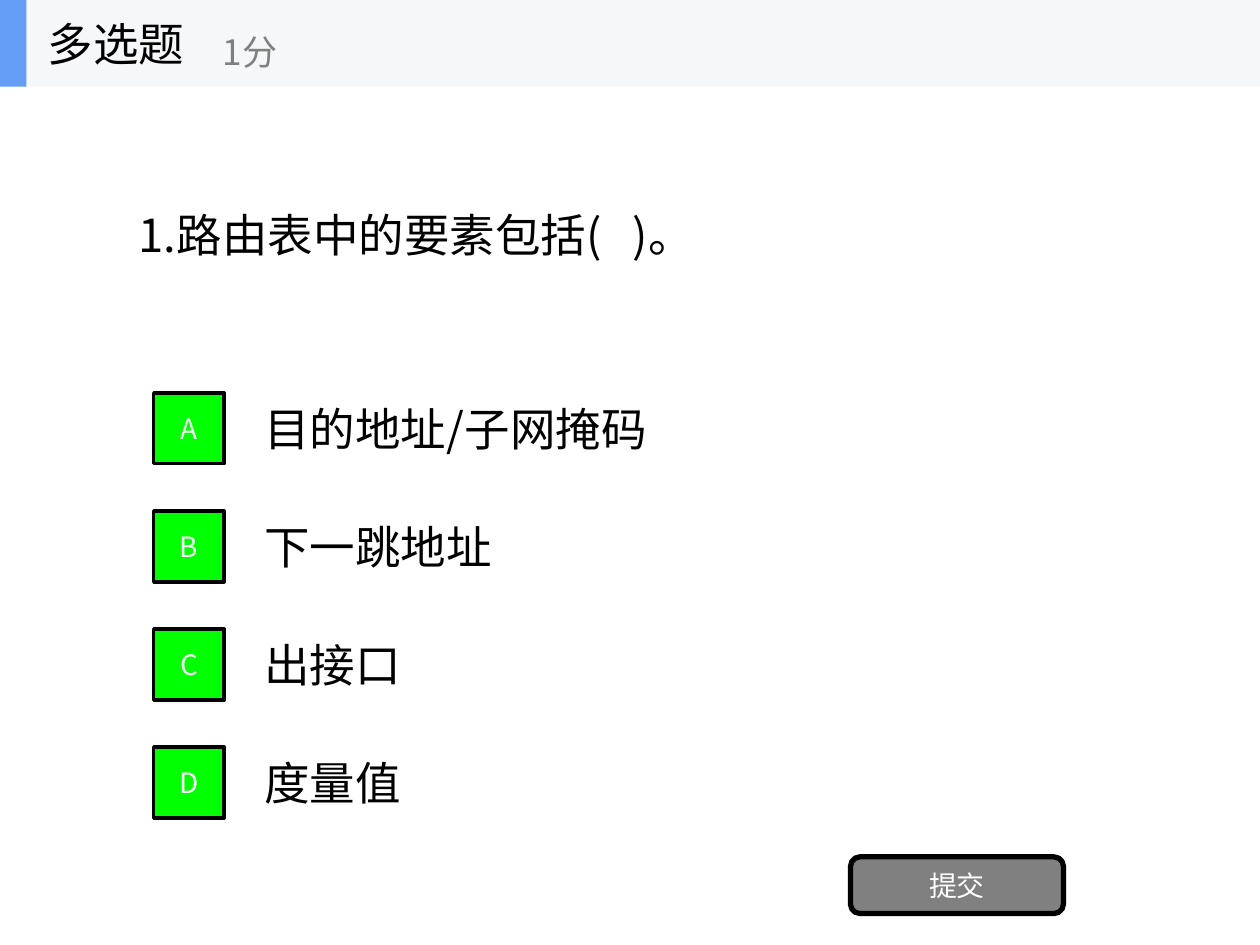
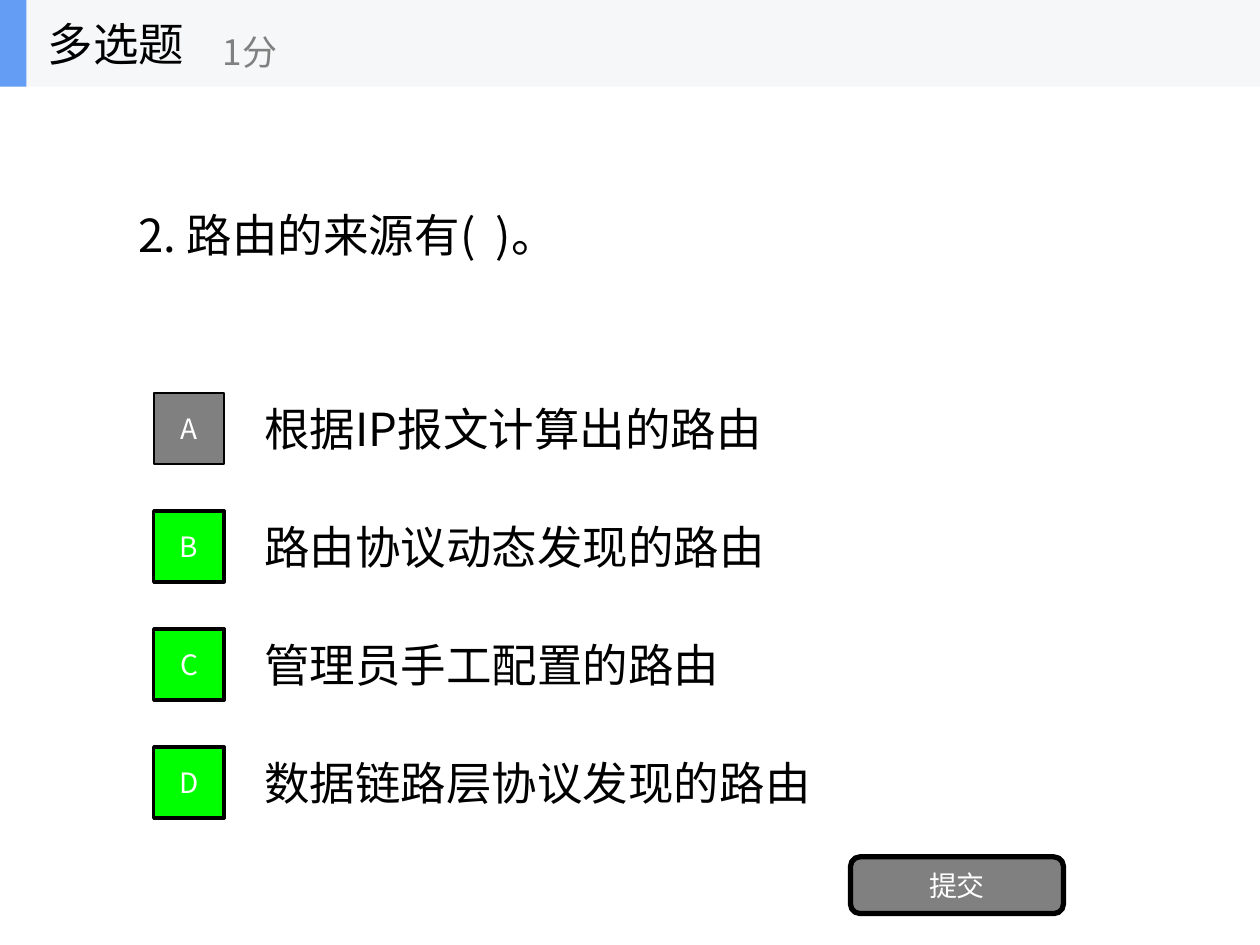
from collections import namedtuple

from lxml import etree
from pptx import Presentation
from pptx.dml.color import RGBColor
from pptx.enum.shapes import MSO_SHAPE
from pptx.enum.text import MSO_ANCHOR, MSO_AUTO_SIZE, PP_ALIGN
from pptx.oxml.ns import qn
from pptx.util import Inches, Pt

RECT, ROUNDED = MSO_SHAPE.RECTANGLE, MSO_SHAPE.ROUNDED_RECTANGLE
LEFT, CENTER = PP_ALIGN.LEFT, PP_ALIGN.CENTER
MIDDLE, NO_FIT = MSO_ANCHOR.MIDDLE, MSO_AUTO_SIZE.NONE

FONT = "Noto Sans CJK SC"
BLACK, WHITE, GRAY = "000000", "FFFFFF", "808080"
CORRECT, BAND, ACCENT = "00FF00", "F6F7F8", "639EF4"
BODY_SIZE, POINTS_SIZE, LABEL_SIZE = 26, 20, 16
TITLE_ONLY = 5
OPTION_LETTERS = "ABCD"

QUESTIONS = [
    ("1.路由表中的要素包括(   )。",
     ["目的地址/子网掩码", "下一跳地址", "出接口", "度量值"], "ABCD"),
    ("2. 路由的来源有(  )。",
     ["根据IP报文计算出的路由", "路由协议动态发现的路由",
      "管理员手工配置的路由", "数据链路层协议发现的路由"], "BCD"),
]


class Box(namedtuple("Box", "left top width height")):
    def inner(self, left, top, width, height):
        """Return an inner box given as shares of this one."""
        return Box(self.left + left * self.width, self.top + top * self.height,
                   width * self.width, height * self.height)

    def emu(self):
        return [Inches(length) for length in self]


SLIDE = Box(0, 0, 10, 7.5)
HEADER = SLIDE.inner(0, 0, 1, 0.0917)
QUESTION = SLIDE.inner(0.1, 0.0917, 0.8, 0.3125)
OPTIONS = SLIDE.inner(0.1, 0.4063, 0.8, 0.5)
SUBMIT = SLIDE.inner(0.675, 0.9067, 0.169, 0.06)


def color(hex_value):
    return RGBColor.from_string(hex_value)


def write(holder, text, size, hex_value, align=LEFT):
    frame = holder.text_frame
    frame.word_wrap = True
    frame.auto_size = NO_FIT
    frame.vertical_anchor = MIDDLE
    paragraph = frame.paragraphs[0]
    paragraph.alignment = align
    run = paragraph.add_run()
    run.text = text
    run.font.size = Pt(size)
    run.font.color.rgb = color(hex_value)
    run.font.name = FONT
    east_asian = etree.SubElement(run._r.get_or_add_rPr(), qn("a:ea"))
    east_asian.set("typeface", FONT)


def add_text(shapes, box, text, size, hex_value=BLACK):
    write(shapes.add_textbox(*box.emu()), text, size, hex_value)


def add_panel(shapes, kind, box, fill, line_width=0, label=None):
    panel = shapes.add_shape(kind, *box.emu())
    panel.shadow.inherit = False
    panel.fill.solid()
    panel.fill.fore_color.rgb = color(fill)
    if line_width:
        panel.line.color.rgb = color(BLACK)
        panel.line.width = Pt(line_width)
    else:
        panel.line.fill.background()
    if label:
        write(panel, label, LABEL_SIZE, WHITE, CENTER)


def add_question(slide, box, text):
    title = slide.shapes.title
    title.left, title.top, title.width, title.height = box.emu()
    write(title, text, BODY_SIZE, BLACK)


def add_options(slide, box, options, answers):
    """Stack lettered options in equal rows, marking the correct ones."""
    pitch = 1 / len(options)
    rows = [box.inner(0, i * pitch, 1, 0.75 * pitch) for i in range(len(options))]
    for row, option in zip(rows, options):
        add_text(slide.shapes, row.inner(0.125, 0, 0.875, 1), option, BODY_SIZE)
    for row, letter in zip(rows, OPTION_LETTERS):
        badge = row.inner(0.0275, 0.1, 0.07, 0.8)
        fill, line_width = (CORRECT, 2) if letter in answers else (GRAY, 1)
        add_panel(slide.shapes, RECT, badge, fill, line_width, letter)


def add_header(slide, box):
    shapes = slide.shapes.add_group_shape().shapes
    add_panel(shapes, RECT, box, BAND)
    add_panel(shapes, RECT, box.inner(0, 0, 0.021, 1), ACCENT)
    add_text(shapes, box.inner(0.028, 0, 0.208, 1), "多选题", BODY_SIZE)
    add_text(shapes, box.inner(0.167, 0.18, 0.25, 0.82), "1分", POINTS_SIZE, GRAY)


def add_question_slide(deck, question, options, answers):
    slide = deck.slides.add_slide(deck.slide_layouts[TITLE_ONLY])
    add_question(slide, QUESTION, question)
    add_options(slide, OPTIONS, options, answers)
    add_panel(slide.shapes, ROUNDED, SUBMIT, GRAY, 3, "提交")
    add_header(slide, HEADER)


def main():
    deck = Presentation()
    deck.slide_width, deck.slide_height = SLIDE.emu()[2:]
    for question, options, answers in QUESTIONS:
        add_question_slide(deck, question, options, answers)
    deck.save("out.pptx")


if __name__ == "__main__":
    main()
